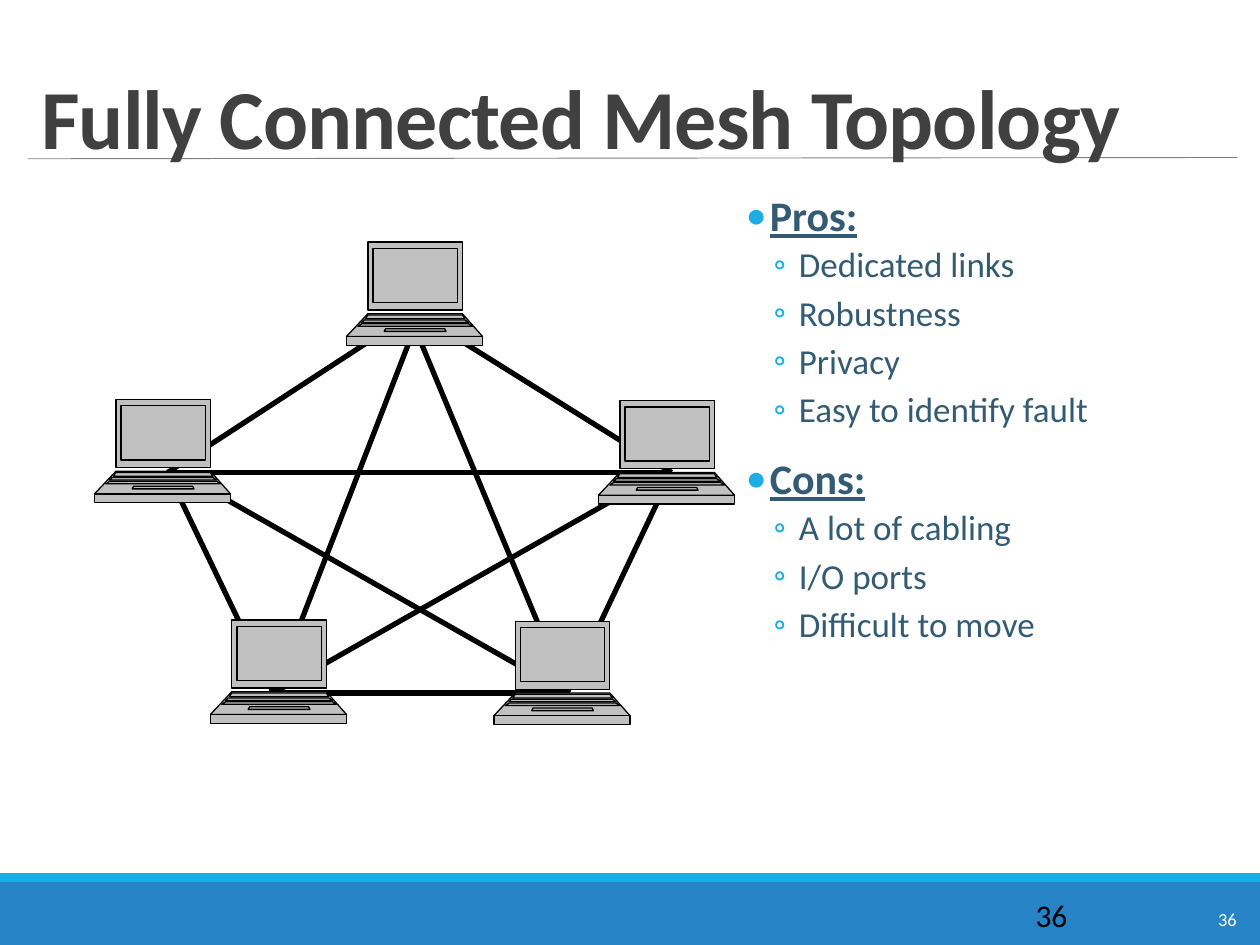
"""Build the fully connected mesh topology slide."""
from lxml.etree import SubElement
from pptx import Presentation
from pptx.dml.color import RGBColor
from pptx.enum.shapes import MSO_CONNECTOR as CONN, MSO_SHAPE as SHAPE
from pptx.enum.text import MSO_ANCHOR as ANCHOR
from pptx.oxml.ns import qn
from pptx.util import Inches, Pt

C = {"blue": "2683C6", "cyan": "1CADE4", "rule": "808080", "black": "000000",
     "white": "FFFFFF", "title": "404040", "body": "335B74", "laptop": "C0C0C0"}


def add_text(tf, text, size, color, bold=False, underline=False, line=None,
             before=0, after=0, bullet=None, left=0, hang=0, level=0, spc=None):
    p = tf.paragraphs[0] if not tf.paragraphs[0].runs else tf.add_paragraph()
    if bullet:
        pPr = p._p.get_or_add_pPr()
        pPr.set("marL", str(Inches(left)))
        pPr.set("indent", str(-Inches(hang)))
        clr = SubElement(pPr, qn("a:buClr"))
        SubElement(clr, qn("a:srgbClr"), val=C["cyan"])
        SubElement(pPr, qn("a:buFont"), typeface="Calibri")
        SubElement(pPr, qn("a:buChar"), char=bullet)
    p.level = level
    p.line_spacing = line
    p.space_before, p.space_after = Pt(before), Pt(after)
    r = p.add_run()
    r.text = text
    r.font.name, r.font.size = "Calibri", Pt(size)
    r.font.bold, r.font.underline = bold, underline
    r.font.color.rgb = RGBColor.from_string(C[color])
    if spc:
        r._r.get_or_add_rPr().set("spc", str(spc))


def add_line(shapes, start, end, color, width):
    cx = shapes.add_connector(CONN.STRAIGHT, *map(Inches, start + end))
    cx.line.color.rgb = RGBColor.from_string(C[color])
    cx.line.width = Pt(width)
    SubElement(cx._element.spPr, qn("a:effectLst"))


prs = Presentation()
prs.slide_width, prs.slide_height = Inches(10), Inches(7.5)
s = prs.slides.add_slide(prs.slide_layouts[6])

for top, height, color in [(7, 0.5, "blue"), (6.93, 0.07, "cyan")]:
    sp = s.shapes.add_shape(SHAPE.RECTANGLE, 0, Inches(top), Inches(10), Inches(height))
    sp.shadow.inherit = False
    sp.fill.solid()
    sp.fill.fore_color.rgb = RGBColor.from_string(C[color])
    sp.line.fill.background()
add_line(s.shapes, (0.22, 1.26), (9.82, 1.25), "rule", 0.5)

for box, size, color, wrap in [((9.57, 7.16, 0.37, 0.28), 10.5, "white", False),
                               ((8.12, 7.06, 1.08, 0.4), 18, "black", True)]:
    tf = s.shapes.add_textbox(*map(Inches, box)).text_frame
    tf.word_wrap = wrap
    add_text(tf, "36", size, color)

top_pc, left_pc, right_pc = (3.33, 2.5), (1.33, 3.75), (5.33, 3.75)
low_left, low_right = (2.17, 5.5), (4.5, 5.5)
links = [(left_pc, (3.25, 2.5)), (right_pc, top_pc), (low_right, right_pc),
         (low_left, low_right), (left_pc, low_left), (right_pc, left_pc),
         ((5.25, 3.75), low_left), (low_right, (1.42, 3.75)),
         (top_pc, low_left), (low_right, (3.25, 2.5))]
mesh = s.shapes.add_group_shape()
for start, end in links:
    add_line(mesh.shapes, start, end, "black", 3)

tf = s.shapes.add_textbox(*map(Inches, (0.23, 0.31, 9.6, 1.06))).text_frame
tf.word_wrap = True
tf.vertical_anchor = ANCHOR.BOTTOM
add_text(tf, "Fully Connected Mesh Topology", 48, "title", bold=True, line=0.85, spc=-50)

tf = s.shapes.add_textbox(*map(Inches, (5.92, 1.5, 3.58, 4.08))).text_frame
tf.word_wrap = True
tf.margin_left = tf.margin_right = 0
sections = {"Pros:": ["Dedicated links", "Robustness", "Privacy", "Easy to identify fault"],
            "Cons:": ["A lot of cabling", "I/O ports", "Difficult to move"]}
for i, (heading, items) in enumerate(sections.items()):
    add_text(tf, heading, 24, "body", bold=True, underline=True, line=0.9,
             before=12 * i, after=2, bullet="•", left=0.19, hang=0.19)
    for item in items:
        add_text(tf, item, 20, "body", line=0.9, before=2, after=4,
                 bullet="◦", left=0.42, hang=0.2, level=1)

laptop_parts = [(0.17, 0.92, 0, 0.17, 0.92, 0.54), (0.17, 0.92, 0.57, 0, 1.08, 0.75),
                (0, 1.08, 0.75, 0, 1.08, 0.82), (0.21, 0.88, 0.05, 0.21, 0.88, 0.48),
                (0.17, 0.92, 0.58, 0.15, 0.94, 0.61), (0.31, 0.78, 0.69, 0.3, 0.79, 0.71),
                (0.14, 0.94, 0.62, 0.12, 0.97, 0.64), (0.12, 0.97, 0.65, 0.09, 1, 0.67)]
for x, y in [(0.75, 3.17), (1.67, 4.92), (2.75, 1.92), (3.92, 4.93), (4.75, 3.18)]:
    fb = None
    for l1, r1, y1, l2, r2, y2 in laptop_parts:
        start, *rest = [(Inches(x + dx), Inches(y + dy))
                        for dx, dy in [(l1, y1), (r1, y1), (r2, y2), (l2, y2)]]
        if fb:
            fb.move_to(*start)
        else:
            fb = s.shapes.build_freeform(*start)
        fb.add_line_segments(rest, close=True)
    sp = fb.convert_to_shape()
    sp.shadow.inherit = False
    sp.fill.solid()
    sp.fill.fore_color.rgb = RGBColor.from_string(C["laptop"])
    sp.line.color.rgb = RGBColor.from_string(C["black"])
    sp.line.width = Pt(0.75)
    outlines = sp._element.spPr.find(".//" + qn("a:pathLst"))
    merged = outlines[0]
    for node in list(merged):
        if node.tag == qn("a:moveTo"):
            part = SubElement(outlines, merged.tag, w=merged.get("w"), h=merged.get("h"))
        part.append(node)
    outlines.remove(merged)

prs.save("out.pptx")
